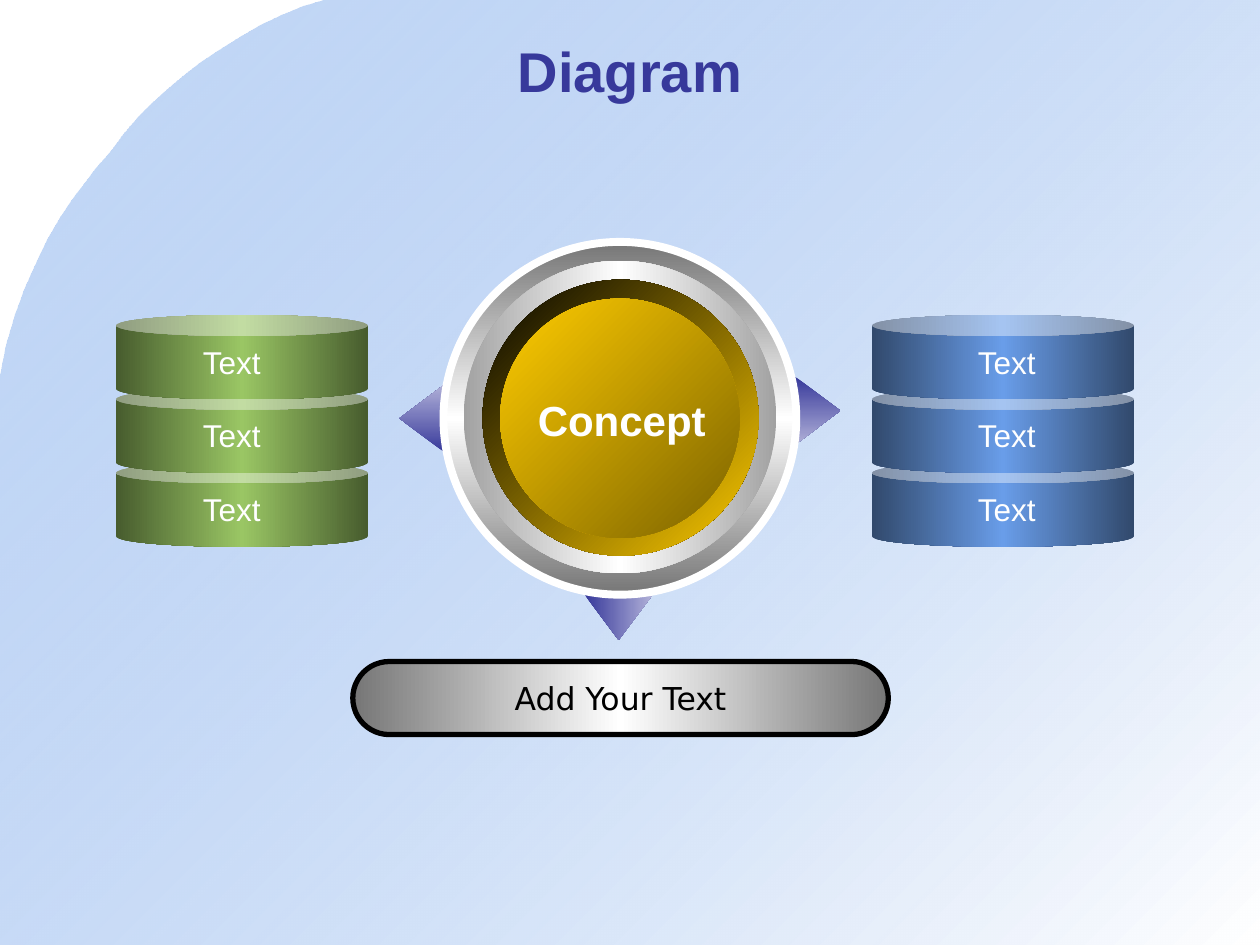
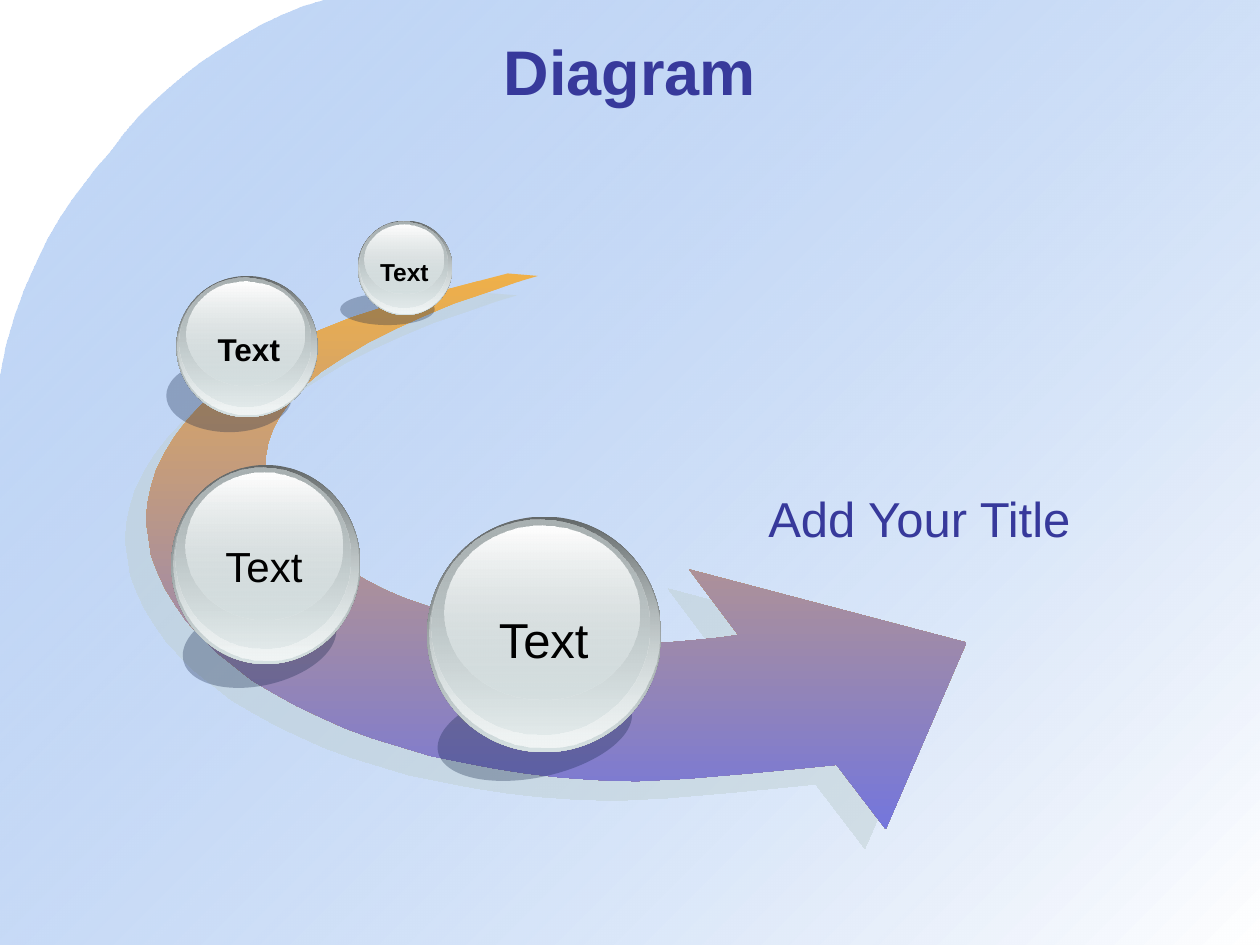
from lxml.etree import SubElement
from pptx import Presentation
from pptx.dml.color import RGBColor as Rgb
from pptx.enum.shapes import MSO_SHAPE as Kind
from pptx.enum.text import MSO_ANCHOR as Anchor, MSO_AUTO_SIZE as Fit, PP_ALIGN as Align
from pptx.oxml.ns import qn
from pptx.util import Emu, Pt

PX = 9144  # EMU in one px, 100 px to the inch
WIDE, HIGH = 1000, 750

INK = {
    "navy": "37399B", "lilac": "B1B1D8", "sky": "699DE9", "deep": "31496C",
    "leaf": "9AC664", "moss": "475C2E", "white": "FFFFFF", "black": "000000",
    "gray": "767676", "silver": "A2A2A2", "gold": "FFCC00", "bronze": "7C6300",
    "amber": "EFB049", "violet": "7476DC", "haze": "C1D1D3", "shade": "0F2145",
    "rim": "636869", "glass": "D6E1E2", "frost": "F1F5F5", "steel": "AAB2B3",
}

# Layers of a glass ball: left, top, width, height as shares of the ball, then fill
LAYERS = [
    (0, 0, 1, 1, ["rim", "glass"]),
    (0.01, 0.005, 0.98, 0.975, [("glass", 0), "frost"]),
    (0.02, 0.013, 0.93, 0.91, ["steel", ("glass", 48)]),
    (0.075, 0.04, 0.83, 0.735, ["white", ("glass", 38)]),
]

# Knots of the curved arrow's two edges, and the corners of its head
OUTER = [(403, 217), (279, 252), (191, 296), (139, 346), (117, 400), (125, 454),
         (159, 505), (217, 550), (296, 586), (393, 610), (505, 620), (664, 607)]
HEAD = [(703, 658), (767, 510), (547, 452)]
INNER = [(586, 504), (509, 511), (429, 504), (354, 486), (288, 459), (239, 424),
         (213, 384), (217, 340), (255, 295), (336, 251), (427, 219)]


# Colour and text

def add_ink(parent, name, alpha=100):
    color = SubElement(parent, qn("a:srgbClr"), val=INK[name])
    if alpha < 100:
        SubElement(color, qn("a:alpha"), val=str(alpha * 1000))


def blend(shape, stops, angle):
    """Fill with evenly spread stops, each a name or a (name, alpha) pair."""
    shape.fill.gradient()
    grad = shape.element.spPr.find(qn("a:gradFill"))
    grad.find(qn("a:lin")).set("ang", str(angle * 60000))
    marks = grad.find(qn("a:gsLst"))
    for old in list(marks):
        marks.remove(old)
    for i, stop in enumerate(stops):
        place = str(round(100000 * i / (len(stops) - 1)))
        mark = SubElement(marks, qn("a:gs"), pos=place)
        add_ink(mark, *([stop] if isinstance(stop, str) else stop))


def tint(shape, name, alpha):
    shape.fill.solid()
    shape.fill.fore_color.rgb = Rgb.from_string(INK[name])
    color = shape.element.spPr.find(qn("a:solidFill"))[0]
    SubElement(color, qn("a:alpha"), val=str(alpha * 1000))


def write(shape, text, size, ink, bold=False, face="Arial", align=Align.CENTER):
    shape.text_frame.text = text
    line = shape.text_frame.paragraphs[0]
    line.alignment = align
    font = line.font
    font.name, font.size, font.bold = face, Pt(size), bold
    font.color.rgb = Rgb.from_string(INK[ink])


# Kinds of element

def px(*sizes):
    return [Emu(round(size * PX)) for size in sizes]


def plain(shape):
    shape.shadow.inherit = False
    shape.line.fill.background()
    return shape


def add_form(slide, kind, box, stops=None, angle=0):
    shape = plain(slide.shapes.add_shape(kind, *px(*box)))
    if stops:
        blend(shape, stops, angle)
    return shape


def edge(shape, ink, width):
    shape.line.color.rgb = Rgb.from_string(INK[ink])
    shape.line.width = Pt(width)


def add_label(slide, box, text, size, ink, wrap=False, **style):
    label = slide.shapes.add_textbox(*px(*box))
    label.text_frame.word_wrap = wrap
    label.text_frame.auto_size = Fit.SHAPE_TO_FIT_TEXT
    write(label, text, size, ink, **style)


def curve(a, b, c, d, steps=12):
    """Points of a cubic curve after its start."""
    points = []
    for i in range(1, steps + 1):
        t = i / steps
        u = 1 - t
        points.append(tuple(
            u**3 * p + 3 * u * u * t * q + 3 * u * t * t * r + t**3 * s
            for p, q, r, s in zip(a, b, c, d)))
    return points


def smooth(knots):
    """Points of a soft curve through all knots."""
    ends = [knots[0], *knots, knots[-1]]
    points = [knots[0]]
    for a, b, c, d in zip(ends, ends[1:], ends[2:], ends[3:]):
        lead = [q + (r - p) / 6 for p, q, r in zip(a, b, c)]
        trail = [r - (s - q) / 6 for q, r, s in zip(b, c, d)]
        points += curve(b, lead, trail, c, 4)
    return points


def add_free(slide, points):
    pen = slide.shapes.build_freeform(*points[0], scale=PX)
    pen.add_line_segments(points[1:], close=True)
    return plain(pen.convert_to_shape())


def add_stack(slide, left, width, text_left, stops):
    tops = [250 + 58.5 * i for i in range(3)]
    for top in reversed(tops):
        add_form(slide, Kind.CAN, (left, top, width, 67), stops)
    for top in tops:
        add_label(slide, (text_left, top + 17, 68, 40), "Text", 18, "white")


def add_disc(slide, left, top, size, stops, angle):
    return add_form(slide, Kind.OVAL, (left, top, size, size), stops, angle)


def add_ball(slide, ball, shade, turn, label, size, bold):
    dark = add_form(slide, Kind.OVAL, shade)
    tint(dark, "shade", 30)
    dark.rotation = turn
    left, top, width, height = ball
    for x, y, w, h, stops in LAYERS:
        box = (left + x * width, top + y * height, w * width, h * height)
        add_form(slide, Kind.OVAL, box, stops, 90)
    add_label(slide, label, "Text", size, "black", bold=bold)


# Shared look

def dress(layout, slide):
    """Give the layout its title place and its tinted field, drawn via a slide."""
    title = layout.placeholders[0]
    title.left, title.top, title.width, title.height = px(50, 25, 900, 62)
    start, bend, foot = (258, 0), (98, 107), (0, 301)
    points = [start, *curve(start, (190, 16), (116, 83), bend),
              *curve(bend, (80, 132), (16, 194), foot),
              (0, HIGH), (WIDE, HIGH), (WIDE, 0)]
    field = add_free(slide, points)
    blend(field, [("sky", 39), "white"], 45)
    layout.shapes.element.insert(2, field.element)


def set_title(slide, size):
    title = slide.shapes.title
    write(title, "Diagram", size, "navy", bold=True)
    title.text_frame.auto_size = Fit.NONE
    title.text_frame.vertical_anchor = Anchor.MIDDLE


# Slides

def draw_concept(slide):
    set_title(slide, 32)
    # Pointers behind the hub
    for kind, box, angle in [
        (Kind.LEFT_ARROW, (317, 305, 36, 54), 270),
        (Kind.RIGHT_ARROW, (631, 299, 36, 54), 90),
        (Kind.DOWN_ARROW, (464, 472, 54, 36), 0),
    ]:
        arrow = add_form(slide, kind, box, ["navy", "lilac"], angle)
        arrow.adjustments[0], arrow.adjustments[1] = 0.52, 1
    # Hub
    ring = add_disc(slide, 352, 192, 280, ["gray", "white", "gray"], 90)
    edge(ring, "white", 4.5)
    add_disc(slide, 368, 207, 248, ["silver", "white", "silver"], 0)
    add_disc(slide, 383, 222, 219, ["black", "gold"], 45)
    add_disc(slide, 397, 237, 190, ["gold", "bronze"], 45)
    # Stacks on both sides
    add_stack(slide, 92, 200, 150, ["moss", "leaf", "moss"])
    add_stack(slide, 692, 208, 765, ["deep", "sky", "deep"])
    add_label(slide, (417, 308, 153, 50), "Concept", 24, "white", bold=True)
    # Bar below
    bar = add_form(slide, Kind.ROUNDED_RECTANGLE, (280, 525, 425, 58),
                   ["gray", "white", "gray"])
    bar.adjustments[0] = 0.5
    edge(bar, "black", 3)
    write(bar, "Add Your Text", 18, "black", face="DejaVu Sans")
    bar.text_frame.word_wrap = False
    bar.text_frame.vertical_anchor = Anchor.MIDDLE


def draw_path(slide):
    set_title(slide, 36)
    # Curved arrow with its soft shadow
    arrow = add_free(slide, smooth(OUTER) + HEAD + smooth(INNER))
    blend(arrow, ["amber", "violet"], 90)
    shadow = SubElement(arrow.element.spPr.find(qn("a:effectLst")), qn("a:outerShdw"),
                        dist=str(Pt(16.3)), dir=str(137 * 60000),
                        algn="ctr", rotWithShape="0")
    add_ink(shadow, "haze", 50)
    add_label(slide, (600, 383, 292, 57), "Add Your Title", 28, "navy",
              wrap=True, align=Align.LEFT)
    # Balls, from near to far: ball, shade, turn, label, size, bold
    for ball in [
        ((339, 410, 186, 187), (346, 544, 157, 73), 347.9, (384, 479, 95, 57), 28, False),
        ((136, 369, 150, 158), (144, 477, 124, 67), 347.1, (167, 424, 85, 50), 24, False),
        ((140, 219, 112, 112), (132, 285, 100, 58), 0, (162, 257, 71, 40), 18, True),
        ((284, 175, 75, 75), (270, 233, 75, 25), 0, (291, 199, 60, 34), 14, True),
    ]:
        add_ball(slide, *ball)


def main():
    deck = Presentation()
    deck.slide_width, deck.slide_height = px(WIDE, HIGH)
    layout = deck.slide_layouts[5]
    first, second = [deck.slides.add_slide(layout) for _ in range(2)]
    dress(layout, first)
    draw_concept(first)
    draw_path(second)
    deck.save("out.pptx")


if __name__ == "__main__":
    main()
